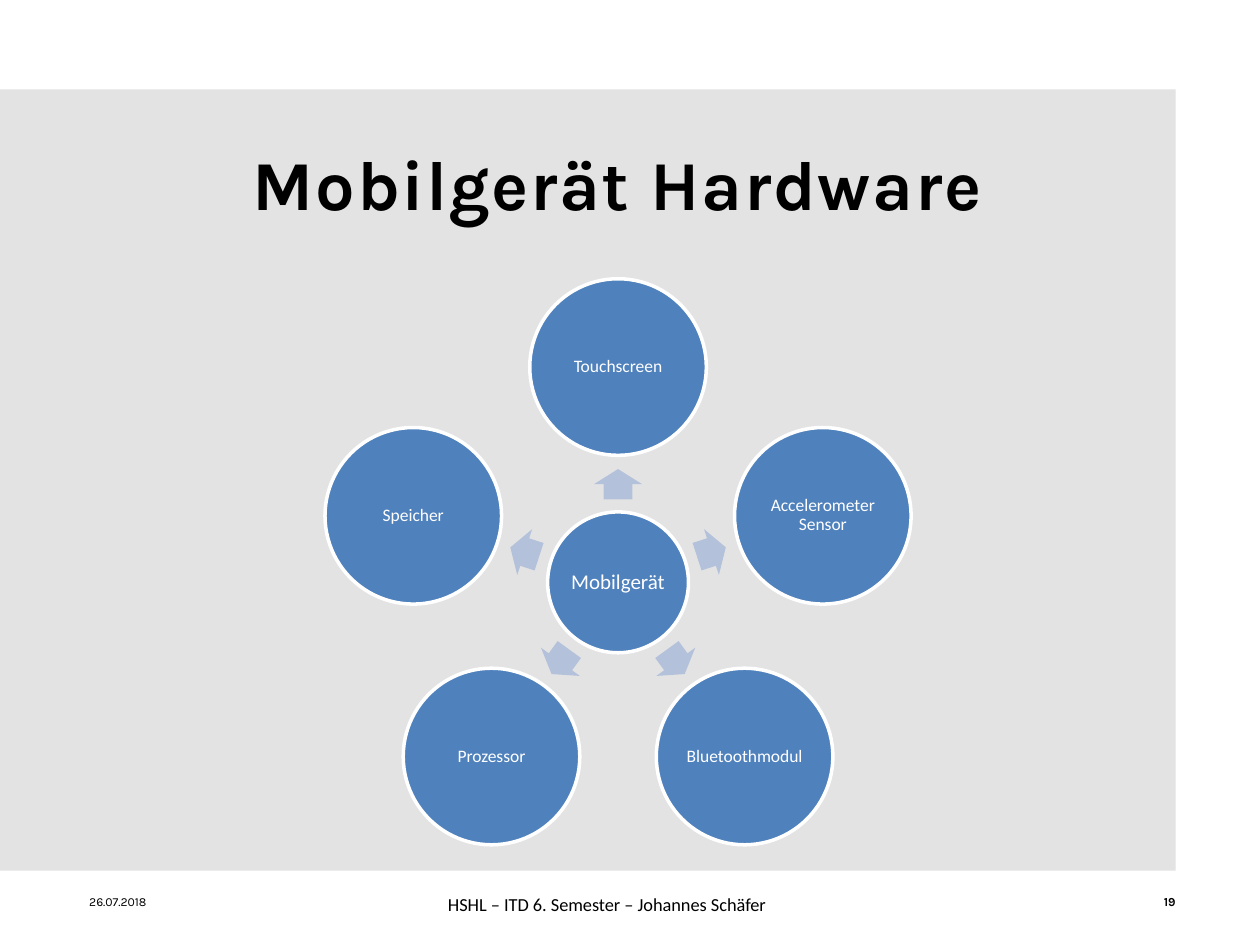
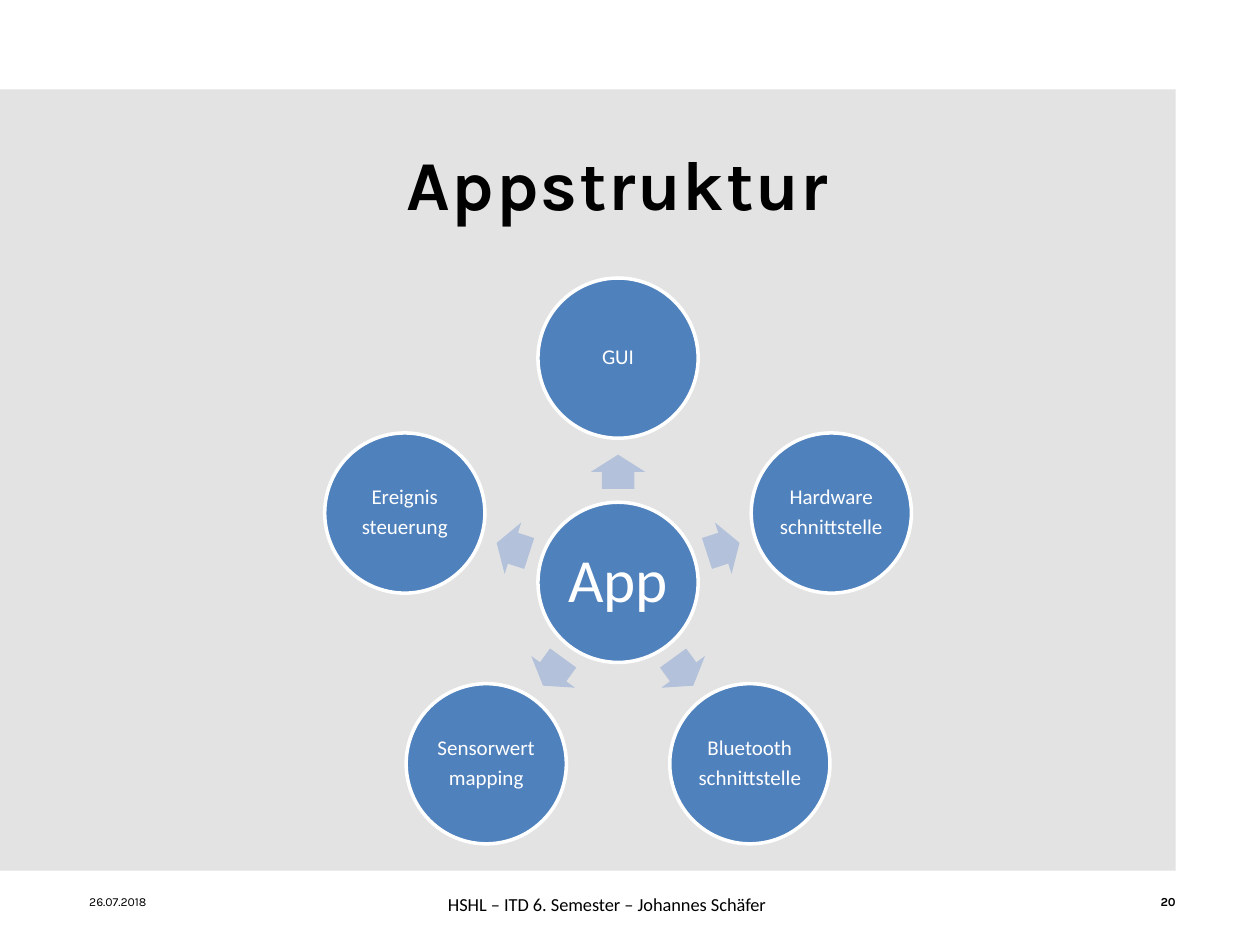
import math
from pptx import Presentation
from pptx import util as u
from pptx.dml.color import RGBColor
from pptx.enum import shapes, text

BLACK = RGBColor(0x00, 0x00, 0x00)
WHITE = RGBColor(0xFF, 0xFF, 0xFF)
PANEL_GRAY = RGBColor(0xE3, 0xE3, 0xE3)
NODE_BLUE = RGBColor(0x4F, 0x81, 0xBD)
ARROW_BLUE = RGBColor(0xB3, 0xC1, 0xDB)
HEADING_FONT = "Karla"
BODY_FONT = "Calibri"
CENTER_X, CENTER_Y = 12.46, 11.74

HARDWARE_RING = dict(hub_size=2.84, hub_points=12, node_size=3.56, node_points=10,
                     radius=4.34, arrow_radius=1.98, arrow_size=(0.61, 0.97))
APP_RING = dict(hub_size=3.23, hub_points=35, node_size=3.23, node_points=12,
                radius=4.52, arrow_radius=2.23, arrow_size=(0.69, 1.09))


def set_margins(frame, margin):
    frame.margin_left = frame.margin_right = u.Cm(margin)
    frame.margin_top = frame.margin_bottom = u.Cm(margin)


def write(frame, content, font, points, color, align, bold=False):
    frame.text = content
    frame.vertical_anchor = text.MSO_ANCHOR.MIDDLE
    for para in frame.paragraphs:
        para.alignment = align
        for span in para.runs:
            span.font.name = font
            span.font.size = u.Pt(points)
            span.font.bold = bold
            span.font.color.rgb = color


def add_label(page, area, content, font, points, align, bold=False, margin=0):
    box = page.shapes.add_textbox(*(u.Cm(length) for length in area))
    frame = box.text_frame
    frame.word_wrap = True
    set_margins(frame, margin)
    write(frame, content, font, points, BLACK, align, bold)
    return box


def add_filled(page, kind, center, size, color):
    (x, y), (width, height) = center, size
    shape = page.shapes.add_shape(kind, u.Cm(x - width / 2), u.Cm(y - height / 2),
                                  u.Cm(width), u.Cm(height))
    shape.shadow.inherit = False
    shape.fill.solid()
    shape.fill.fore_color.rgb = color
    shape.line.fill.background()
    return shape


def add_circle(page, center, diameter, label, points):
    circle = add_filled(page, shapes.MSO_SHAPE.OVAL, center, (diameter, diameter), NODE_BLUE)
    circle.line.color.rgb = WHITE
    circle.line.width = u.Pt(2)
    frame = circle.text_frame
    frame.word_wrap = True
    set_margins(frame, 0.04)
    write(frame, label, BODY_FONT, points, WHITE, text.PP_ALIGN.CENTER)
    for para in frame.paragraphs:
        para.line_spacing = 0.9
        para.space_after = u.Pt(0.35 * points)


def add_arrow(page, center, size, angle):
    arrow = add_filled(page, shapes.MSO_SHAPE.RIGHT_ARROW, center, size, ARROW_BLUE)
    arrow.adjustments[0] = 0.6
    arrow.adjustments[1] = 0.5
    arrow.rotation = angle


def point_at(angle, radius):
    turn = math.radians(angle)
    return CENTER_X + radius * math.cos(turn), CENTER_Y + radius * math.sin(turn)


def add_radial_diagram(page, hub, nodes, ring):
    add_circle(page, (CENTER_X, CENTER_Y), ring["hub_size"], hub, ring["hub_points"])
    for index, label in enumerate(nodes):
        angle = (270 + index * 360 / len(nodes)) % 360
        add_arrow(page, point_at(angle, ring["arrow_radius"]), ring["arrow_size"], angle)
        add_circle(page, point_at(angle, ring["radius"]), ring["node_size"],
                   label, ring["node_points"])


def add_page(deck, title, number):
    page = deck.slides.add_slide(deck.slide_layouts[6])
    add_filled(page, shapes.MSO_SHAPE.RECTANGLE, (11.85, 9.68), (23.7, 15.75), PANEL_GRAY)
    heading = add_label(page, (1.8, 2.08, 21.31, 3.18), title, HEADING_FONT, 40,
                        text.PP_ALIGN.CENTER, bold=True, margin=0.13)
    for span in heading.text_frame.paragraphs[0].runs:
        span.font._element.set("spc", "100")
    add_label(page, (1.8, 18.03, 5.92, 0.3), "26.07.2018", HEADING_FONT, 7,
              text.PP_ALIGN.LEFT)
    add_label(page, (17.78, 18.03, 5.92, 0.3), str(number), HEADING_FONT, 7,
              text.PP_ALIGN.RIGHT, bold=True)
    footer = add_label(page, (8.71, 17.88, 7.06, 0.71),
                       "HSHL – ITD 6. Semester – Johannes Schäfer", BODY_FONT, 10.5,
                       text.PP_ALIGN.CENTER, margin=0.13)
    footer.text_frame.word_wrap = False
    return page


def main():
    deck = Presentation()
    deck.slide_width, deck.slide_height = u.Cm(25.4), u.Cm(19.05)

    hardware = add_page(deck, "Mobilgerät Hardware", 19)
    add_radial_diagram(hardware, "Mobilgerät",
                       ["Touchscreen", "Accelerometer Sensor", "Bluetoothmodul",
                        "Prozessor", "Speicher"], HARDWARE_RING)

    structure = add_page(deck, "Appstruktur", 20)
    add_radial_diagram(structure, "App",
                       ["GUI", "Hardware\nschnittstelle", "Bluetooth\nschnittstelle",
                        "Sensorwert\nmapping", "Ereignis\nsteuerung"], APP_RING)

    deck.save("out.pptx")


if __name__ == "__main__":
    main()
